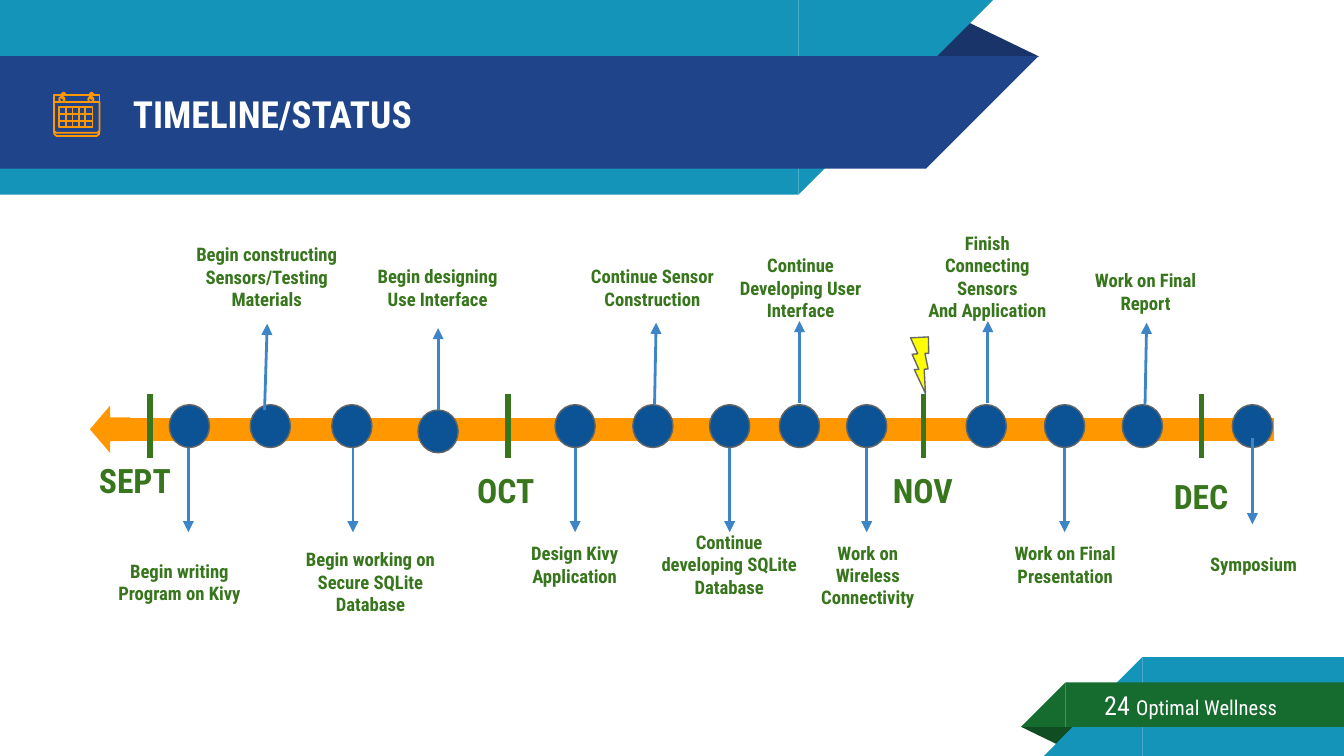
from dataclasses import dataclass

import lxml.etree
import pptx
import pptx.dml.color
import pptx.enum.shapes
import pptx.enum.text
import pptx.oxml.ns
import pptx.util

Cm = pptx.util.Cm
Pt = pptx.util.Pt
MSO = pptx.enum.shapes.MSO_SHAPE
ALIGN = pptx.enum.text.PP_ALIGN

FONT = "Roboto Condensed"
WHITE, TEAL, NAVY, DARK_NAVY = "FFFFFF", "1594BA", "204489", "193469"
GREEN, DARK_GREEN, TEXT_GREEN = "166C2F", "104D22", "38761D"
ORANGE, DOT_BLUE, ARROW_BLUE, GREY = "FF9800", "0B5394", "3D85C6", "666666"
AXIS_Y = 8.12
LABEL_W, LABEL_H = 3.18, 1.22
DOT_W, DOT_H = 0.76, 0.81


@dataclass
class Block:
    kind: int
    x: float
    y: float
    w: float
    h: float
    fill: str
    rotation: float = 0
    flip: bool = False


@dataclass
class Month:
    name: str
    tick_x: float
    label_x: float
    label_y: float


@dataclass
class Event:
    text: str
    label_x: float
    label_y: float
    dot_x: float
    start_x: float
    tip_x: float
    start_y: float = 8.46
    tip_y: float = 10.06
    dot_y: float = 7.65


BLOCKS = [
    Block(MSO.ISOSCELES_TRIANGLE, 17.48, 0.36, 2.16, 0.71, DARK_NAVY),
    Block(MSO.RECTANGLE, 0, 0, 15.09, 3.68, TEAL),
    Block(MSO.RIGHT_TRIANGLE, 15.09, 0, 3.68, 3.68, TEAL, 180, True),
    Block(MSO.RECTANGLE, 0, 1.06, 17.5, 2.13, NAVY),
    Block(MSO.RIGHT_TRIANGLE, 17.5, 1.06, 2.13, 2.13, NAVY, 180, True),
    Block(MSO.ISOSCELES_TRIANGLE, 19.3, 13.74, 1.09, 0.36, DARK_GREEN, 180),
    Block(MSO.RECTANGLE, 21.59, 12.42, 3.81, 1.87, TEAL),
    Block(MSO.RIGHT_TRIANGLE, 19.73, 12.42, 1.86, 1.87, TEAL, 0, True),
    Block(MSO.RECTANGLE, 20.14, 12.9, 5.26, 0.84, GREEN),
    Block(MSO.RIGHT_TRIANGLE, 19.3, 12.9, 0.84, 0.84, GREEN, 0, True),
]

MONTHS = [
    Month("SEPT", 2.84, 2.55, 8.46),
    Month("OCT", 9.6, 9.56, 8.66),
    Month("NOV", 17.45, 17.44, 8.66),
    Month("DEC", 22.71, 22.7, 8.76),
]

EVENTS = [
    Event("Begin writing Program on Kivy", 3.39, 10.39, 3.58, 3.56, 3.56),
    Event("Begin constructing Sensors/Testing Materials", 5.04, 4.62, 5.11, 5, 5.05, 7.75, 6.12),
    Event("Begin working on Secure SQLite Database", 7, 10.39, 6.65, 6.67, 6.67),
    Event("Begin designing Use Interface", 8.27, 4.83, 8.28, 8.28, 8.28, 7.75, 6.2, 7.75),
    Event("Design Kivy Application", 10.86, 10.06, 10.87, 10.87, 10.87),
    Event("Continue Sensor Construction", 12.33, 4.83, 12.34, 12.37, 12.4, 7.65, 6.1),
    Event("Continue developing SQLite Database", 13.78, 10.06, 13.79, 13.79, 13.79),
    Event("Continue Developing User Interface", 15.13, 4.83, 15.11, 15.11, 15.11, 7.62, 6.07),
    Event("Work on\nWireless Connectivity", 16.4, 10.26, 16.38, 16.38, 16.38),
    Event("Finish\nConnecting\nSensors\nAnd Application", 18.66, 4.62, 18.64, 18.67, 18.67, 7.62, 6.07),
    Event("Work on Final Presentation", 20.13, 10.06, 20.12, 20.12, 20.12),
    Event("Work on Final Report", 21.65, 4.9, 21.59, 21.64, 21.67, 7.65, 6.1),
    Event("Symposium", 23.69, 10.06, 23.67, 23.67, 23.67, 8.28, 9.91),
]


def color(value: str):
    return pptx.dml.color.RGBColor.from_string(value)


def style(s, fill=None, line=None, width=0.75):
    s.shadow.inherit = False
    if fill:
        s.fill.solid()
        s.fill.fore_color.rgb = color(fill)
    else:
        s.fill.background()
    if line:
        s.line.color.rgb = color(line)
        s.line.width = Pt(width)
    else:
        s.line.fill.background()


def add_shape(sp, kind, x: float, y: float, w: float, h: float, fill=None, line=None, width=0.75):
    s = sp.add_shape(kind, Cm(x), Cm(y), Cm(w), Cm(h))
    style(s, fill, line, width)
    return s


def add_block(sp, block: Block):
    s = add_shape(sp, block.kind, block.x, block.y, block.w, block.h, block.fill)
    s.rotation = block.rotation
    if block.kind == MSO.ISOSCELES_TRIANGLE:
        s.adjustments[0] = 0.32
    if block.flip:
        s._element.spPr.find(pptx.oxml.ns.qn("a:xfrm")).set("flipH", "1")


def add_line(sp, x1: float, y1: float, x2: float, y2: float, line: str, width: float, arrow=False):
    s = sp.add_connector(pptx.enum.shapes.MSO_CONNECTOR.STRAIGHT, Cm(x1), Cm(y1), Cm(x2), Cm(y2))
    s.line.color.rgb = color(line)
    s.line.width = Pt(width)
    spPr = s._element.spPr
    if arrow:
        ln = spPr.find(pptx.oxml.ns.qn("a:ln"))
        lxml.etree.SubElement(ln, pptx.oxml.ns.qn("a:tailEnd"), type="triangle")
    lxml.etree.SubElement(spPr, pptx.oxml.ns.qn("a:effectLst"))


def add_outline(sp, points: list, close: bool):
    points = [(Cm(x), Cm(y)) for x, y in points]
    builder = sp.build_freeform(*points[0])
    builder.add_line_segments(points[1:], close=close)
    style(builder.convert_to_shape(), line=ORANGE, width=0.96)


def add_run(p, text: str, *, size: float, fill: str, bold=False):
    r = p.add_run()
    r.text = text
    r.font.name = FONT
    r.font.size = Pt(size)
    r.font.bold = bold
    r.font.color.rgb = color(fill)


def add_text(sp, text: str, x: float, y: float, w: float, h: float, *,
             size: float, fill: str, bold=True, align=ALIGN.LEFT):
    tf = sp.add_textbox(Cm(x), Cm(y), Cm(w), Cm(h)).text_frame
    tf.word_wrap = True
    tf.vertical_anchor = pptx.enum.text.MSO_ANCHOR.MIDDLE
    tf.margin_left = tf.margin_right = tf.margin_top = tf.margin_bottom = Cm(0.25)
    for i, line in enumerate(text.split("\n")):
        p = tf.add_paragraph() if i else tf.paragraphs[0]
        p.alignment = align
        add_run(p, line, size=size, fill=fill, bold=bold)
    return p


def add_label(sp, text: str, center_x: float, y: float, size: float):
    add_text(sp, text, center_x - LABEL_W / 2, y, LABEL_W, LABEL_H,
             size=size, fill=TEXT_GREEN, align=ALIGN.CENTER)


def add_calendar(sp):
    add_outline(sp, [(1.88, 1.93), (1.88, 1.8), (1.02, 1.8), (1.02, 1.93)], False)
    add_outline(sp, [(1.02, 1.93), (1.02, 2.48), (1.06, 2.51), (1.84, 2.51), (1.88, 2.48), (1.88, 1.93)], True)
    add_outline(sp, [(1.02, 2.49), (1.03, 2.54), (1.07, 2.57), (1.83, 2.57), (1.87, 2.54), (1.88, 2.49)], False)
    for x in (1.12, 1.67):
        add_shape(sp, MSO.OVAL, x, 1.83, 0.1, 0.1, line=ORANGE, width=0.96)
    for x in (1.17, 1.7):
        add_outline(sp, [(x + 0.05, 1.88), (x, 1.85), (x, 1.78), (x + 0.03, 1.75), (x + 0.07, 1.78)], False)
    add_shape(sp, MSO.RECTANGLE, 1.12, 2.03, 0.63, 0.38, line=ORANGE, width=0.96)
    for y in (2.16, 2.29):
        add_line(sp, 1.12, y, 1.75, y, ORANGE, 0.96)
    for i in range(4):
        x = 1.25 + 0.12 * i
        add_line(sp, x, 2.03, x, 2.41, ORANGE, 0.96)


def main():
    prs = pptx.Presentation()
    prs.slide_width, prs.slide_height = Cm(25.4), Cm(14.29)
    sp = prs.slides.add_slide(prs.slide_layouts[6]).shapes
    for block in BLOCKS:
        add_block(sp, block)
    add_text(sp, "TIMELINE/STATUS", 2.26, 1.09, 14.6, 2.13, size=20, fill=WHITE)
    p = add_text(sp, "24 ", 20.62, 12.88, 4.67, 0.89, size=14, fill=WHITE, bold=False)
    add_run(p, "Optimal Wellness", size=11, fill=WHITE)
    add_calendar(sp)

    add_line(sp, 2.08, AXIS_Y, 24.08, AXIS_Y, ORANGE, 12)
    add_shape(sp, MSO.LEFT_ARROW, 1.7, 7.67, 0.76, 0.89, ORANGE)
    for month in MONTHS:
        add_line(sp, month.tick_x, 7.44, month.tick_x, 8.66, TEXT_GREEN, 3)
        add_label(sp, month.name, month.label_x, month.label_y, 18)
    for event in EVENTS:
        add_shape(sp, MSO.OVAL, event.dot_x - DOT_W / 2, event.dot_y, DOT_W, DOT_H, DOT_BLUE, GREY)
        add_line(sp, event.start_x, event.start_y, event.tip_x, event.tip_y, ARROW_BLUE, 1.5, arrow=True)
        add_label(sp, event.text, event.label_x, event.label_y, 10)
    add_shape(sp, MSO.LIGHTNING_BOLT, 17.02, 6.35, 0.74, 0.97, "FFFF00", GREY).rotation = 27.9
    prs.save("out.pptx")


if __name__ == "__main__":
    main()
